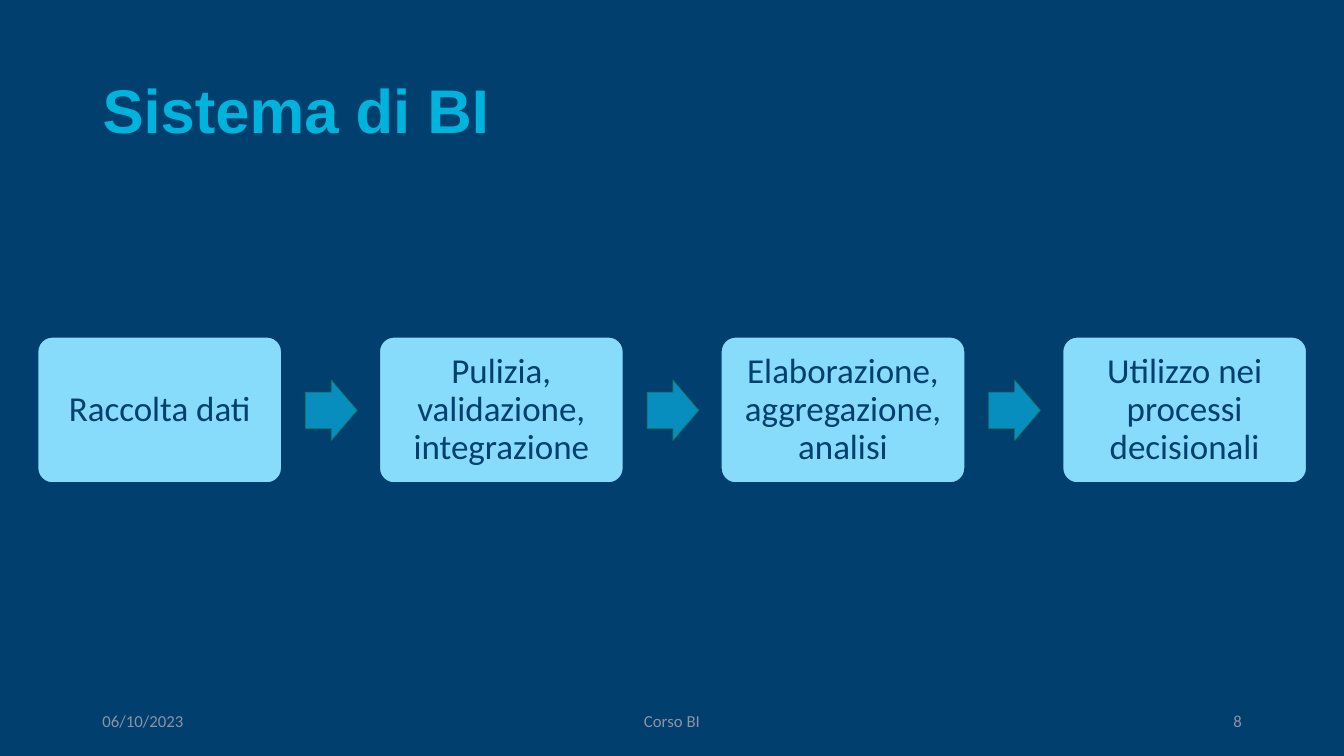
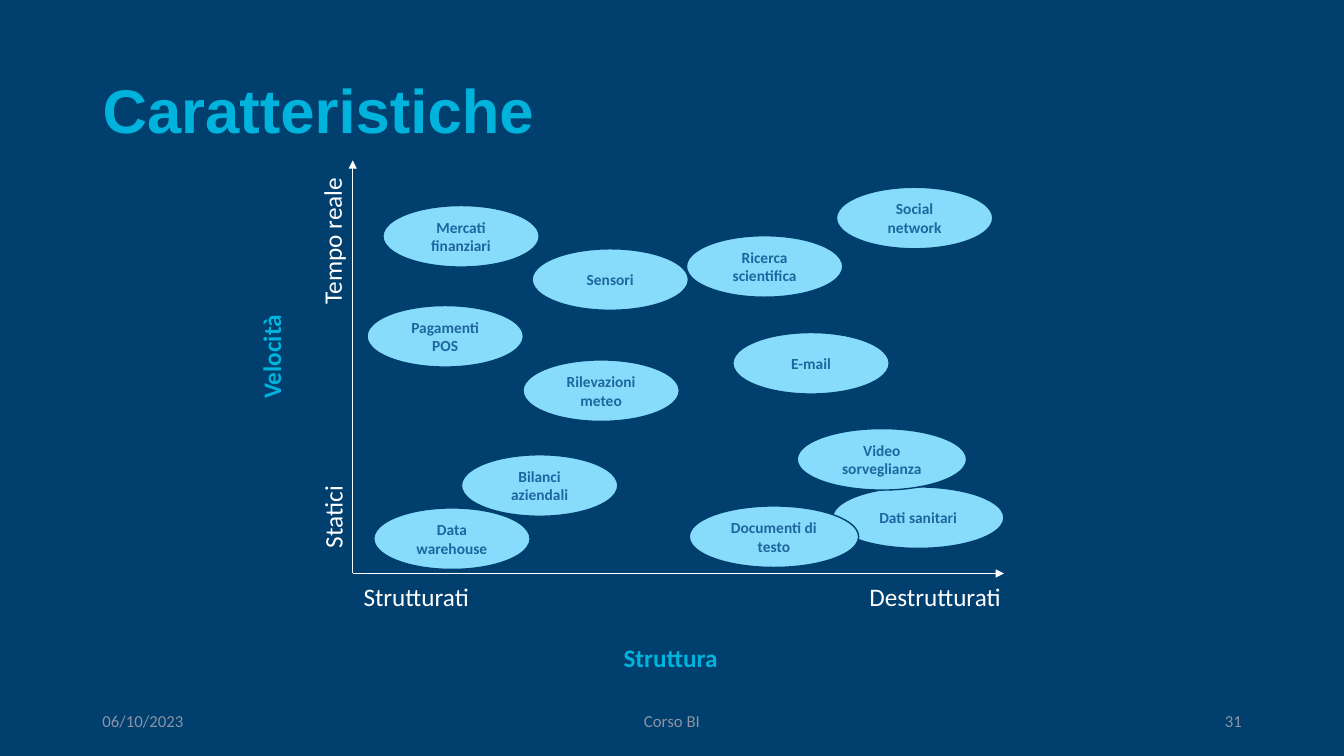
"""Build two slides on business intelligence: a process flow and a map of data sources."""
from pptx import Presentation
from pptx.dml.color import RGBColor
from pptx.enum.shapes import MSO_CONNECTOR, MSO_SHAPE
from pptx.enum.text import MSO_ANCHOR, MSO_AUTO_SIZE, PP_ALIGN
from pptx.oxml.ns import qn
from pptx.util import Cm, Pt
from lxml import etree

LEFT, MID, RIGHT = PP_ALIGN.LEFT, PP_ALIGN.CENTER, PP_ALIGN.RIGHT
CENTRE = MSO_ANCHOR.MIDDLE
FIXED = MSO_AUTO_SIZE.NONE
LINE = MSO_CONNECTOR.STRAIGHT
BOX, ARROW, OVAL = MSO_SHAPE.ROUNDED_RECTANGLE, MSO_SHAPE.RIGHT_ARROW, MSO_SHAPE.OVAL

NAVY, CYAN, SKY = "003F6E", "00B3DD", "87DCFB"
BLUE, TEAL, GREEN = "078EBF", "1E669F", "117865"
GREY, WHITE = "8C93A3", "FFFFFF"


def write(shape, text, size, color, align=MID, bold=False, font="Calibri", wrap=True, space=1.0):
    """Set the text of a shape and format it."""
    frame = shape.text_frame
    frame.text = text
    frame.word_wrap = wrap
    frame.auto_size = FIXED
    frame.vertical_anchor = CENTRE
    par = frame.paragraphs[0]
    par.alignment = align
    par.line_spacing = space
    face = par.runs[0].font
    face.size, face.name, face.bold = Pt(size), font, bold
    face.color.rgb = RGBColor.from_string(color)


def draw(slide, kind, place, fill, edge, width):
    """Add a filled shape with an outline and no shadow."""
    shape = slide.shapes.add_shape(kind, *[Cm(v) for v in place])
    shape.shadow.inherit = False
    shape.fill.solid()
    shape.fill.fore_color.rgb = RGBColor.from_string(fill)
    shape.line.color.rgb = RGBColor.from_string(edge)
    shape.line.width = Pt(width)
    return shape


prs = Presentation()
prs.slide_width, prs.slide_height = Cm(33.87), Cm(19.05)
back = prs.slide_master.background.fill
back.solid()
back.fore_color.rgb = RGBColor.from_string(NAVY)

slides = []
for title, page in [("Sistema di BI", "8"), ("Caratteristiche", "31")]:
    slide = prs.slides.add_slide(prs.slide_layouts[5])
    head = slide.shapes.title
    head.left, head.top, head.width, head.height = Cm(2.33), Cm(1.02), Cm(25.96), Cm(3.68)
    write(head, title, 44, CYAN, LEFT, True, "Arial", space=0.9)
    for text, left, width, align in [
        ("06/10/2023", 2.33, 7.62, LEFT),
        ("Corso BI", 11.22, 11.43, MID),
        (page, 23.93, 7.62, RIGHT),
    ]:
        foot = slide.shapes.add_textbox(Cm(left), Cm(17.65), Cm(width), Cm(1.01))
        write(foot, text, 12, GREY, align)
    slides.append(slide)
flow, chart = slides

steps = [
    "Raccolta dati",
    "Pulizia, validazione, integrazione",
    "Elaborazione, aggregazione, analisi",
    "Utilizzo nei processi decisionali",
]
for i, step in enumerate(steps):
    left = 0.95 + i * 8.61
    box = draw(flow, BOX, (left, 8.49, 6.15, 3.68), SKY, NAVY, 1)
    box.adjustments[0] = 0.1
    write(box, step, 25, NAVY, space=0.9)
    frame = box.text_frame
    frame.margin_left = frame.margin_right = Cm(0.36)
    frame.margin_top = frame.margin_bottom = Cm(0.36)
    if i < len(steps) - 1:
        arrow = draw(flow, ARROW, (left + 6.75, 9.58, 1.3, 1.52), BLUE, GREEN, 0.5)
        arrow.adjustments[0], arrow.adjustments[1] = 0.6, 0.5

for x, y in [(8.89, 4.04), (25.3, 14.45)]:
    axis = chart.shapes.add_connector(LINE, Cm(8.89), Cm(14.45), Cm(x), Cm(y))
    axis.line.color.rgb = RGBColor.from_string(WHITE)
    axis.line.width = Pt(0.5)
    props = axis._element.spPr
    etree.SubElement(props.find(qn("a:ln")), qn("a:tailEnd"), type="triangle")
    etree.SubElement(props, qn("a:effectLst"))

labels = [
    ("Struttura", 15.44, 16.05, 2.92, 0, CYAN),
    ("Velocità", 5.51, 8.48, 2.64, 270, CYAN),
    ("Strutturati", 8.89, 14.53, 3.2, 0, WHITE),
    ("Destrutturati", 21.62, 14.53, 3.89, 0, WHITE),
    ("Statici", 7.34, 12.52, 2.08, 270, WHITE),
    ("Tempo reale", 6.5, 5.56, 3.73, 270, WHITE),
]
for text, left, top, width, turn, color in labels:
    label = chart.shapes.add_textbox(Cm(left), Cm(top), Cm(width), Cm(1.02))
    label.rotation = turn
    write(label, text, 18, color, bold=color == CYAN, wrap=False)

sources = [
    ("Data warehouse", 9.42, 12.8, 3.94),
    ("Bilanci aziendali", 11.63, 11.46, 3.94),
    ("Dati sanitari", 20.98, 12.27, 4.32),
    ("Video sorveglianza", 20.09, 10.8, 4.27),
    ("Documenti di testo", 17.37, 12.75, 4.27),
    ("Rilevazioni meteo", 13.18, 9.07, 3.94),
    ("E-mail", 18.47, 8.38, 3.94),
    ("Pagamenti POS", 9.25, 7.7, 3.94),
    ("Mercati finanziari", 9.65, 5.18, 3.94),
    ("Sensori", 13.41, 6.27, 3.94),
    ("Ricerca scientifica", 17.3, 5.94, 3.94),
    ("Social network", 21.08, 4.72, 3.94),
]
for text, left, top, width in sources:
    oval = draw(chart, OVAL, (left, top, width, 1.55), SKY, NAVY, 1)
    write(oval, text, 11, TEAL, bold=True)

prs.save("out.pptx")
